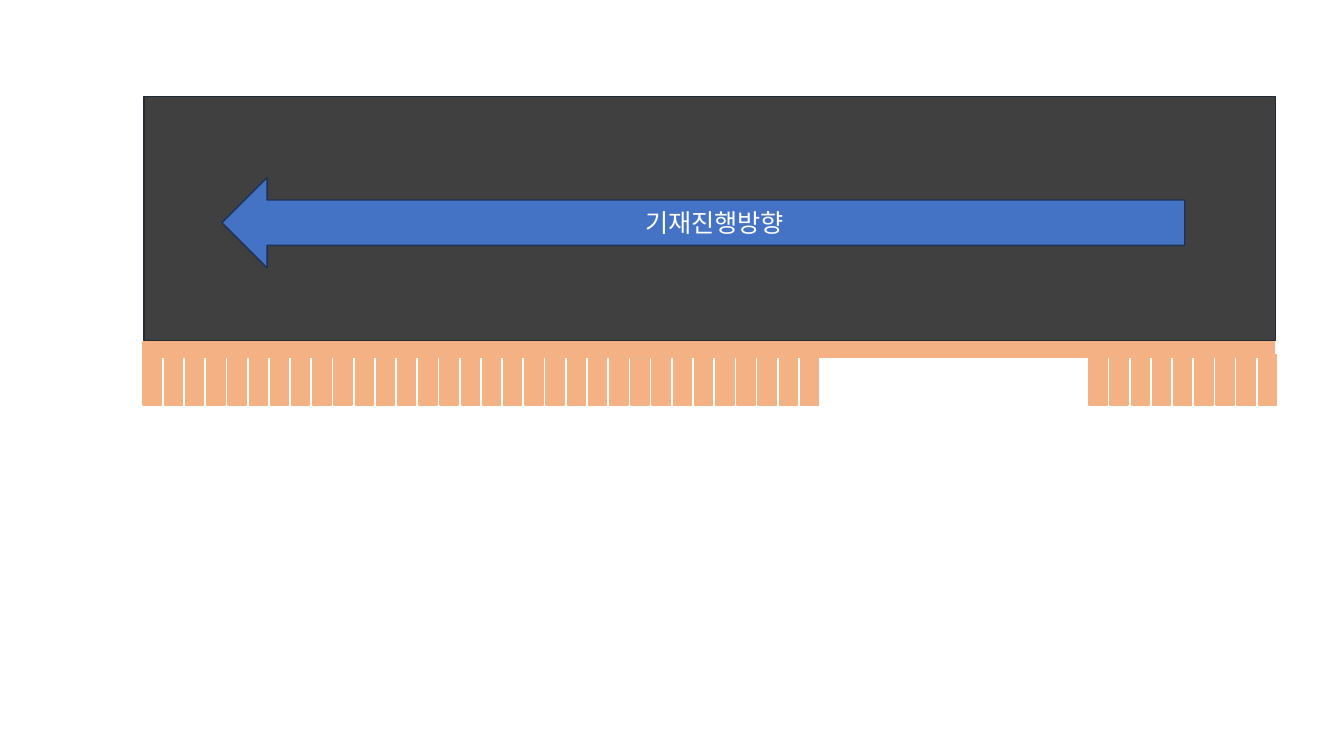
import dataclasses

import lxml.etree
import pptx
import pptx.dml.color
import pptx.enum.shapes
import pptx.enum.text
import pptx.oxml.ns
import pptx.util

EMU_PER_PX = 9144
SHAPES = pptx.enum.shapes.MSO_SHAPE


@dataclasses.dataclass(frozen=True)
class Theme:
    body: str = "404040"
    body_edge: str = "222A35"
    comb: str = "F4B183"
    arrow: str = "4472C4"
    arrow_edge: str = "1E3256"
    label: str = "FFFFFF"
    font: str = "Noto Sans CJK KR"
    label_size: int = 18
    edge_width: int = 1


THEME = Theme()


def px(length):
    return pptx.util.Emu(round(length * EMU_PER_PX))


def rgb(color):
    return pptx.dml.color.RGBColor.from_string(color)


def add_block(slide, kind, box, fill, edge):
    block = slide.shapes.add_shape(kind, *map(px, box))
    block.shadow.inherit = False
    block.fill.solid()
    block.fill.fore_color.rgb = rgb(fill)
    block.line.color.rgb = rgb(edge)
    block.line.width = pptx.util.Pt(THEME.edge_width)
    return block


def write_text(block, text, *, size, color, font,
               align=pptx.enum.text.PP_ALIGN.CENTER,
               anchor=pptx.enum.text.MSO_ANCHOR.MIDDLE):
    frame = block.text_frame
    frame.word_wrap = True
    frame.vertical_anchor = anchor
    paragraph = frame.paragraphs[0]
    paragraph.alignment = align
    run = paragraph.add_run()
    run.text = text
    run.font.size = pptx.util.Pt(size)
    run.font.color.rgb = rgb(color)
    run.font.name = font
    east_asian = lxml.etree.SubElement(
        run.font._element, pptx.oxml.ns.qn("a:ea"))
    east_asian.set("typeface", font)


def draw_teeth(slide, box, count, tooth_width=18):
    left, top, width, height = box
    pitch = (width - tooth_width) / (count - 1)
    for index in range(count):
        tooth = (left + index * pitch, top, tooth_width, height)
        add_block(slide, SHAPES.RECTANGLE, tooth, THEME.comb, THEME.comb)


def draw_comb(slide, box):
    left, top, width, height = box
    spine_height, tooth_height = 16, 50
    tooth_top = top + height - tooth_height
    long_run, short_run = 670, 186
    draw_teeth(slide, (left, tooth_top, long_run, tooth_height), count=32)
    draw_teeth(slide, (left + width - short_run + 2, tooth_top,
                       short_run, tooth_height), count=9)
    add_block(slide, SHAPES.RECTANGLE, (left, top, width, spine_height),
              THEME.comb, THEME.comb)


def draw_body(slide, box):
    left, top, width, height = box
    add_block(slide, SHAPES.RECTANGLE, box, THEME.body, THEME.body_edge)
    direction = add_block(slide, SHAPES.LEFT_ARROW,
                          (left + 77, top + 80, 955, 90),
                          THEME.arrow, THEME.arrow_edge)
    write_text(direction, "기재진행방향", size=THEME.label_size,
               color=THEME.label, font=THEME.font)


def main():
    deck = pptx.Presentation()
    deck.slide_width = px(1333)
    deck.slide_height = px(750)
    slide = deck.slides.add_slide(deck.slide_layouts[6])
    draw_comb(slide, (142, 339, 1122, 63))
    draw_body(slide, (143, 96, 1122, 242))
    deck.save("out.pptx")


if __name__ == "__main__":
    main()
